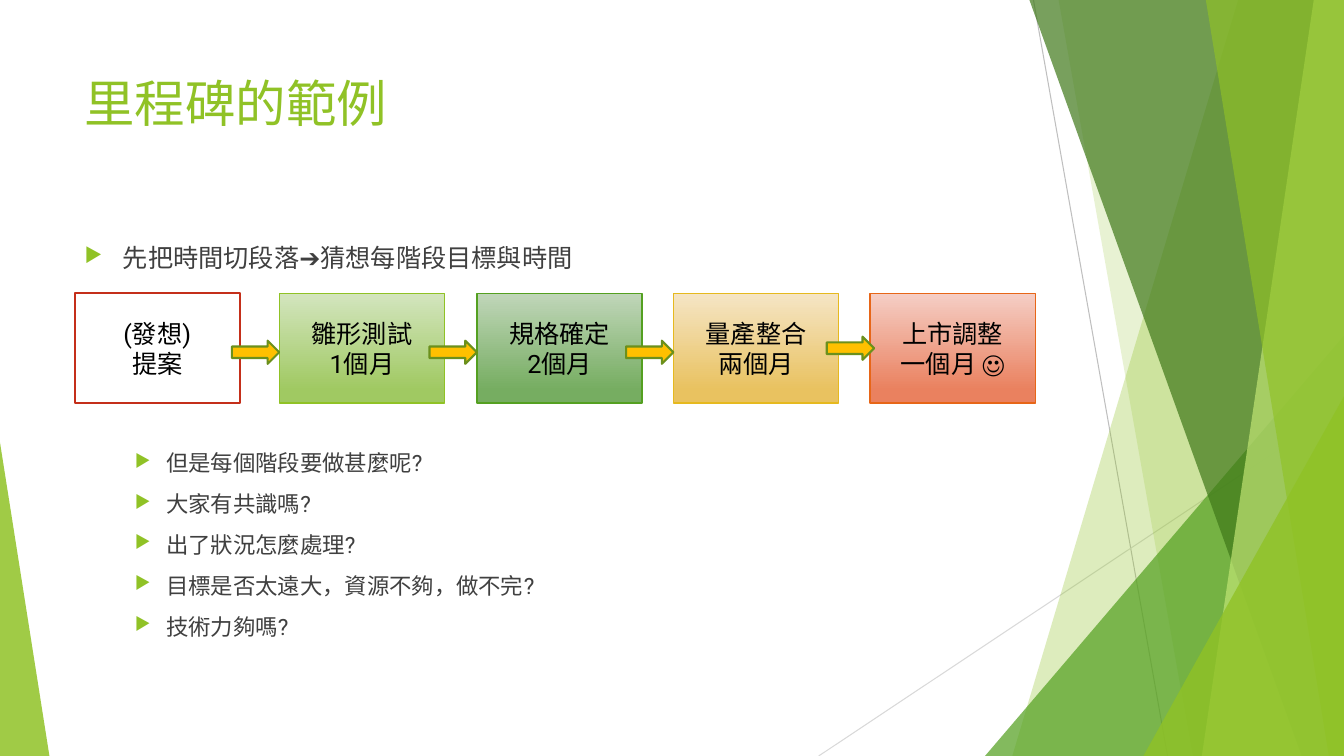
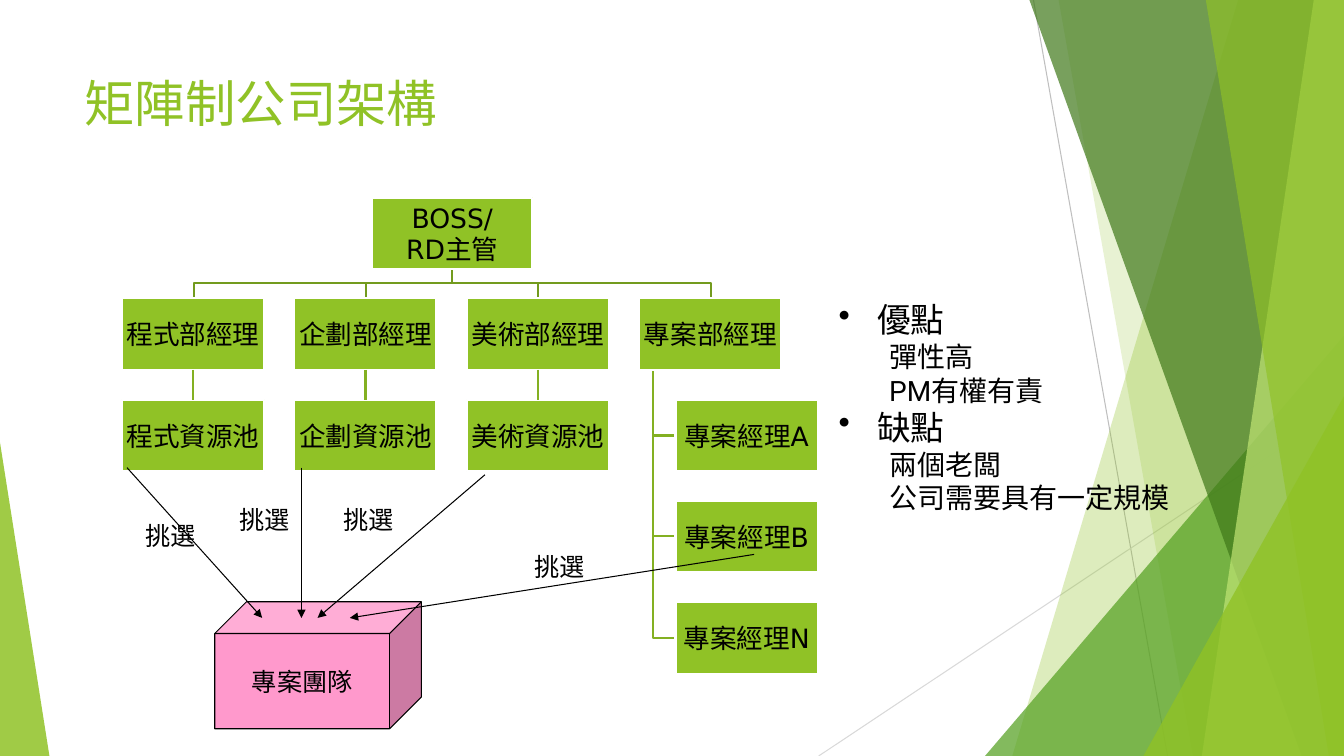
from lxml import etree
from pptx import Presentation
from pptx import util as u
from pptx.dml.color import RGBColor
from pptx.enum import shapes, text
from pptx.oxml.ns import qn

COLOURS = {
    "lime": "90C226", "green": "54A021", "forest": "3F7819", "pale lime": "C0E474",
    "olive": "6B901C", "branch": "739B1E", "twig": "83B022",
    "grey": "BFBFBF", "light grey": "D9D9D9", "body": "404040",
    "black": "000000", "white": "FFFFFF", "pink": "FF99CC", "amber": "FFC000",
    "red": "C42F1A", "yellow": "E6B91E", "orange": "E76618",
    "lime top": "D3E5BE", "lime base": "A0C962", "green top": "C0D6B9", "green base": "76AD61",
    "yellow top": "F5E5C5", "yellow base": "E9C260", "orange top": "F5CEC5", "orange base": "EA815F",
}
RGB = {name: RGBColor.from_string(value) for name, value in COLOURS.items()}
AUTO = shapes.MSO_SHAPE
STRAIGHT = shapes.MSO_CONNECTOR.STRAIGHT
CENTER = text.PP_ALIGN.CENTER
MIDDLE = text.MSO_ANCHOR.MIDDLE


def paint(shape, fill=None, line=None, width=0.75, opacity=100):
    properties = shape._element.spPr
    if line:
        shape.line.color.rgb = RGB[line]
        shape.line.width = u.Pt(width)
    else:
        shape.line.fill.background()
    if isinstance(shape._element, etree._Element) and shape.shape_type == shapes.MSO_SHAPE_TYPE.LINE:
        etree.SubElement(properties, qn("a:effectLst"))
        return
    shape.shadow.inherit = False
    if isinstance(fill, tuple):
        shape.fill.gradient()
        shape.fill.gradient_angle = 270
        for stop, colour, position in zip(shape.fill.gradient_stops, fill, (0, 0.88)):
            stop.color.rgb = RGB[colour]
            stop.position = position
    elif fill:
        shape.fill.solid()
        shape.fill.fore_color.rgb = RGB[fill]
        if opacity < 100:
            colour = properties.find(qn("a:solidFill"))[0]
            etree.SubElement(colour, qn("a:alpha"), val=str(opacity * 1000))
    else:
        shape.fill.background()


def write(shape, rows, colour="black", font="Roboto", align=text.PP_ALIGN.LEFT,
          anchor=text.MSO_ANCHOR.TOP, wrap=True):
    frame = shape.text_frame
    frame.word_wrap = wrap
    frame.vertical_anchor = anchor
    for index, (words, style) in enumerate(rows):
        paragraph = frame.paragraphs[0] if index == 0 else frame.add_paragraph()
        paragraph.text = words
        paragraph.alignment = align
        properties = paragraph._p.get_or_add_pPr()
        if "left" in style:
            properties.set("marL", str(u.Inches(style["left"])))
            properties.set("indent", str(-u.Inches(style.get("hang", 0))))
        if "bullet" in style:
            if "tint" in style:
                tint = etree.SubElement(properties, qn("a:buClr"))
                etree.SubElement(tint, qn("a:srgbClr"), val=COLOURS[style["tint"]])
                etree.SubElement(properties, qn("a:buSzPct"), val="80000")
            etree.SubElement(properties, qn("a:buChar"), char=style["bullet"])
        if index and "before" in style:
            paragraph.space_before = u.Pt(style["before"])
        paragraph.font.size = u.Pt(style["size"])
        paragraph.font.name = font
        paragraph.font.color.rgb = RGB[colour]


presentation = Presentation()
presentation.slide_width = u.Inches(13.33)
presentation.slide_height = u.Inches(7.5)

rays = [((10.25, 0), (11.58, 7.5), "grey"), ((13.33, 4.03), (8.12, 7.5), "light grey")]
facets = [
    ("band", (12.28, 10.04), "lime", 30),
    ("band", (10.5, 11.83), "lime", 20),
    ("triangle", (9.77, 3.33, 3.56, 4.17, 1), "green", 72),
    ("band", (10.21, 12.91), "forest", 70),
    ("band", (13.03, 11.92), "pale lime", 70),
    ("band", (11.96, 13.18), "lime", 65),
    ("triangle", (11.34, 3.93, 1.99, 3.57, 1), "lime", 80),
    ("triangle", (0, 4.39, 0.49, 3.11, 0), "lime", 85),
]
slides = []
for title in ("里程碑的範例", "矩陣制公司架構"):
    slide = presentation.slides.add_slide(presentation.slide_layouts[6])
    slides.append(slide)
    for start, end, colour in rays:
        ray = slide.shapes.add_connector(STRAIGHT, *map(u.Inches, start + end))
        paint(ray, line=colour)
    for kind, geometry, colour, opacity in facets:
        if kind == "band":
            top_x, bottom_x = geometry
            outline = slide.shapes.build_freeform(u.Inches(top_x), 0)
            corners = [(13.33, 0), (13.33, 7.5), (bottom_x, 7.5)]
            outline.add_line_segments([(u.Inches(x), u.Inches(y)) for x, y in corners])
            facet = outline.convert_to_shape()
        else:
            facet = slide.shapes.add_shape(AUTO.ISOSCELES_TRIANGLE, *map(u.Inches, geometry[:4]))
            facet.adjustments[0] = geometry[4]
        paint(facet, colour, opacity=opacity)
    heading = slide.shapes.add_textbox(*map(u.Inches, (0.74, 0.67, 9.4, 1.44)))
    write(heading, [(title, {"size": 36})], "lime")
milestones, matrix = slides

plain = {"size": 18}
point = {"size": 18, "left": 0.38, "hang": 0.38, "bullet": "▶", "tint": "lime"}
question = {"size": 16, "left": 0.81, "hang": 0.31, "bullet": "▶", "tint": "lime", "before": 10}
body = milestones.shapes.add_textbox(*map(u.Inches, (0.74, 2.36, 9.4, 4.24)))
write(body, [
    ("先把時間切段落➔猜想每階段目標與時間", point),
    ("但是每個階段要做甚麼呢?", {**question, "before": 126}),
    ("大家有共識嗎?", question),
    ("出了狀況怎麼處理?", question),
    ("目標是否太遠大，資源不夠，做不完?", question),
    ("技術力夠嗎?", question),
], "body")

stages = [
    (0.74, "(發想)", "提案", "white", "red", 1.5),
    (2.77, "雛形測試", "1個月", ("lime top", "lime base"), "lime", 1),
    (4.73, "規格確定", "2個月", ("green top", "green base"), "green", 1),
    (6.68, "量產整合", "兩個月", ("yellow top", "yellow base"), "yellow", 1),
    (8.63, "上市調整", "一個月 ☺", ("orange top", "orange base"), "orange", 1),
]
for left, name, duration, fill, line, width in stages:
    stage = milestones.shapes.add_shape(AUTO.RECTANGLE, *map(u.Inches, (left, 2.91, 1.64, 1.09)))
    paint(stage, fill, line, width)
    write(stage, [(name, plain), (duration, plain)], align=CENTER, anchor=MIDDLE)
for left, top in ((2.3, 3.38), (4.26, 3.38), (6.21, 3.38), (8.2, 3.34)):
    arrow = milestones.shapes.add_shape(AUTO.RIGHT_ARROW, *map(u.Inches, (left, top, 0.47, 0.23)))
    paint(arrow, "amber", "olive", 1.5)

team = matrix.shapes.add_shape(AUTO.CUBE, *map(u.Inches, (2.13, 5.97, 2.05, 1.26)))
paint(team, "pink", "black")
write(team, [("專案團隊", plain)], align=CENTER, anchor=MIDDLE, wrap=False)

column, row = 1.71, 1.005
posts = [(3.69, 1.96, 1.59, ["BOSS/", "RD主管"])]
for index, department in enumerate(("程式", "企劃", "美術", "專案")):
    posts.append((1.21 + index * column, 2.96, 1.41, [department + "部經理"]))
    if department != "專案":
        posts.append((1.21 + index * column, 2.96 + row, 1.41, [department + "資源池"]))
for index, letter in enumerate("ABN"):
    posts.append((6.7, 2.96 + (index + 1) * row, 1.41, ["專案經理" + letter]))

elbows = [([(4.48, 2.67), (4.48, 2.81), (x, 2.81), (x, 2.96)], "branch")
          for x in (1.92, 3.63, 5.34, 7.05)]
elbows += [([(6.48, 3.67), (6.48, y), (6.7, y)], "twig") for y in (4.32, 5.32, 6.33)]
for points, colour in elbows:
    (x, y), *bends = points
    outline = matrix.shapes.build_freeform(u.Inches(x), u.Inches(y))
    outline.add_line_segments([(u.Inches(x), u.Inches(y)) for x, y in bends], close=False)
    paint(outline.convert_to_shape(), line=colour, width=1.5)

boxes = {}
for left, top, width, lines in posts:
    box = matrix.shapes.add_shape(AUTO.RECTANGLE, *map(u.Inches, (left, top, width, 0.71)))
    paint(box, "lime", "white", 1.5)
    frame = box.text_frame
    frame.margin_left = frame.margin_right = frame.margin_top = frame.margin_bottom = u.Inches(0.01)
    write(box, [(line, {"size": 19}) for line in lines], font="DejaVu Sans",
          align=CENTER, anchor=MIDDLE)
    boxes[lines[0]] = box
for department in ("程式", "企劃", "美術"):
    link = matrix.shapes.add_connector(STRAIGHT, 0, 0, 0, 0)
    link.begin_connect(boxes[department + "部經理"], 2)
    link.end_connect(boxes[department + "資源池"], 0)
    paint(link, line="twig", width=1.5)

picks = [
    ((1.26, 4.64), (2.6, 6.13), (1.34, 5.11)),
    ((2.99, 4.64), (2.99, 6.13), (2.28, 4.95)),
    ((4.81, 4.71), (3.15, 6.13), (3.31, 4.95)),
    ((7.48, 5.5), (3.47, 6.13), (5.2, 5.42)),
]
for start, end, place in picks:
    pick = matrix.shapes.add_connector(STRAIGHT, *map(u.Inches, start + end))
    paint(pick, line="black")
    etree.SubElement(pick._element.spPr.find(qn("a:ln")), qn("a:tailEnd"), type="triangle")
    label = matrix.shapes.add_textbox(*map(u.Inches, place + (0.7, 0.4)))
    write(label, [("挑選", plain)], wrap=False)

side = {"size": 24, "left": 0.38, "hang": 0.38, "bullet": "•"}
detail = {"size": 20, "left": 0.5}
review = matrix.shapes.add_textbox(*map(u.Inches, (8.22, 2.92, 3.92, 2.26)))
write(review, [
    ("優點", side), ("彈性高", detail), ("PM有權有責", detail),
    ("缺點", side), ("兩個老闆", detail), ("公司需要具有一定規模", detail),
])

presentation.save("out.pptx")
